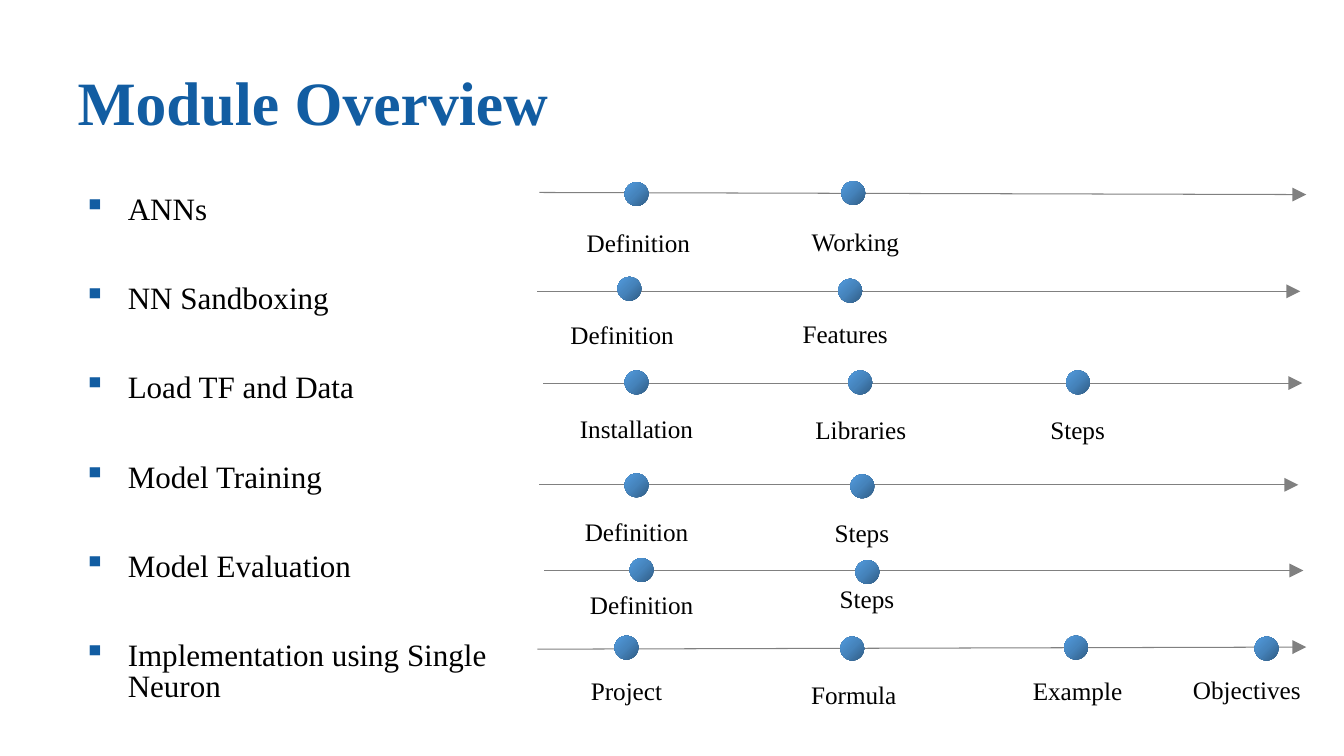
from copy import deepcopy

from pptx import Presentation
from pptx.dml.color import RGBColor
from pptx.enum.shapes import MSO_CONNECTOR, MSO_SHAPE
from pptx.enum.text import MSO_ANCHOR, PP_ALIGN
from pptx.oxml.ns import qn
from pptx.oxml.xmlchemy import OxmlElement
from pptx.util import Pt

STRAIGHT = MSO_CONNECTOR.STRAIGHT
OVAL = MSO_SHAPE.OVAL
MIDDLE = MSO_ANCHOR.MIDDLE
LEFT, CENTER = PP_ALIGN.LEFT, PP_ALIGN.CENTER

FONT = "Times New Roman"
BLUE, BLACK, GRAY = "125DA2", "000000", "808080"
DOT_COLORS = ["305C84", "4583BB", "529BDE"]
DOT_SIZE = 17
LABEL_WIDTH, LABEL_HEIGHT = 120.5, 22.4

TITLE = "Module Overview"
TOPICS = ["ANNs", "NN Sandboxing", "Load TF and Data", "Model Training",
          "Model Evaluation", "Implementation using Single Neuron"]

# Each timeline: arrow start, arrow end, stops as (label, label centre, dot centre)
TIMELINES = [
    ((385.2, 137.5), (933.1, 139), [
        ("Definition", (456, 172.4), (454.7, 138.6)),
        ("Working", (611, 171.7), (609.5, 137.9))]),
    ((383.8, 208.1), (928.8, 208.1), [
        ("Definition", (444.4, 238), (449.6, 206.3)),
        ("Features", (603.7, 237.2), (607.3, 207.7))]),
    ((388.1, 273.6), (930.2, 273.6), [
        ("Installation", (454.7, 304.9), (454.7, 273.2)),
        ("Libraries", (614.9, 305.6), (614.5, 273.2)),
        ("Steps", (769.7, 305.6), (770, 273.2))]),
    ((385.2, 346.3), (927.4, 346.3), [
        ("Definition", (454.7, 378.4), (454.7, 346.7)),
        ("Steps", (615.6, 379.1), (616, 347.4))]),
    ((388.8, 407.5), (931, 407.5), [
        ("Definition", (458.3, 430.9), (458.3, 407.2)),
        ("Steps", (619.2, 426.6), (619.6, 408.6))]),
    ((383.8, 463.7), (933.1, 462.2), [
        ("Project", (447.5, 492.1), (447.5, 462.6)),
        ("Formula", (609.8, 495), (608.8, 463.3)),
        ("Example", (769.7, 492.1), (768.6, 462.6)),
        ("Objectives", (890.6, 491.4), (904.7, 463.3))]),
]


def color(hex_string):
    return RGBColor.from_string(hex_string)


def format_text(para, size, hex_string, bold=False):
    for span in para.runs:
        span.font.name = FONT
        span.font.size = Pt(size)
        span.font.bold = bold
        span.font.color.rgb = color(hex_string)


def centred(center, width, height):
    """Return left, top, width and height of a box around a centre point."""
    x, y = center
    return Pt(x - width / 2), Pt(y - height / 2), Pt(width), Pt(height)


def add_bullet(para):
    properties = para._p.get_or_add_pPr()
    properties.set("marL", str(Pt(36)))
    properties.set("indent", str(-Pt(31.7)))
    bullet_color = OxmlElement("a:buClr")
    rgb = OxmlElement("a:srgbClr")
    rgb.set("val", BLUE)
    bullet_color.append(rgb)
    bullet = OxmlElement("a:buChar")
    bullet.set("char", "▪")
    properties.extend([bullet_color, bullet])


def add_title(page):
    title = page.shapes.title
    title.left, title.top, title.width, title.height = Pt(48.2), Pt(20.2), Pt(864), Pt(110.2)
    title.text_frame.text = TITLE
    title.text_frame.vertical_anchor = MIDDLE
    para = title.text_frame.paragraphs[0]
    para.alignment = LEFT
    para.line_spacing = 0.9
    format_text(para, 44, BLUE, bold=True)


def add_topics(page):
    box = page.shapes.add_textbox(Pt(48.2), Pt(136.4), Pt(325.4), Pt(377))
    frame = box.text_frame
    frame.word_wrap = True
    frame.text = "\n".join(TOPICS)
    for para in frame.paragraphs:
        para.line_spacing = 0.84
        para.space_after = Pt(41.2)
        add_bullet(para)
        format_text(para, 22.2, BLACK)


def add_arrow(page, start, end):
    arrow = page.shapes.add_connector(STRAIGHT, *map(Pt, start + end))
    arrow.line.color.rgb = color(GRAY)
    arrow.line.width = Pt(0.75)
    head = OxmlElement("a:tailEnd")
    head.set("type", "triangle")
    head.set("w", "lg")
    head.set("len", "lg")
    arrow.line._get_or_add_ln().append(head)
    arrow._element.spPr.append(OxmlElement("a:effectLst"))


def add_dot(page, center):
    dot = page.shapes.add_shape(OVAL, *centred(center, DOT_SIZE, DOT_SIZE))
    dot.shadow.inherit = False
    dot.line.fill.background()
    dot.fill.gradient()
    dot.fill.gradient_angle = 135
    first_stop = dot._element.spPr.find(".//" + qn("a:gs"))
    first_stop.addnext(deepcopy(first_stop))
    for index, stop in enumerate(dot.fill.gradient_stops):
        stop.position = index / 2
        stop.color.rgb = color(DOT_COLORS[index])


def add_label(page, text, center):
    box = page.shapes.add_textbox(*centred(center, LABEL_WIDTH, LABEL_HEIGHT))
    frame = box.text_frame
    frame.word_wrap = True
    frame.margin_left = frame.margin_right = frame.margin_top = frame.margin_bottom = 0
    frame.vertical_anchor = MIDDLE
    frame.text = text
    para = frame.paragraphs[0]
    para.alignment = CENTER
    para.line_spacing = 1.1
    format_text(para, 18, BLACK)


def main():
    deck = Presentation()
    deck.slide_width, deck.slide_height = Pt(960), Pt(540)
    page = deck.slides.add_slide(deck.slide_layouts[5])
    add_title(page)
    add_topics(page)
    for start, end, stops in TIMELINES:
        add_arrow(page, start, end)
        for label, label_center, dot_center in stops:
            add_dot(page, dot_center)
            add_label(page, label, label_center)
    deck.save("out.pptx")


if __name__ == "__main__":
    main()
